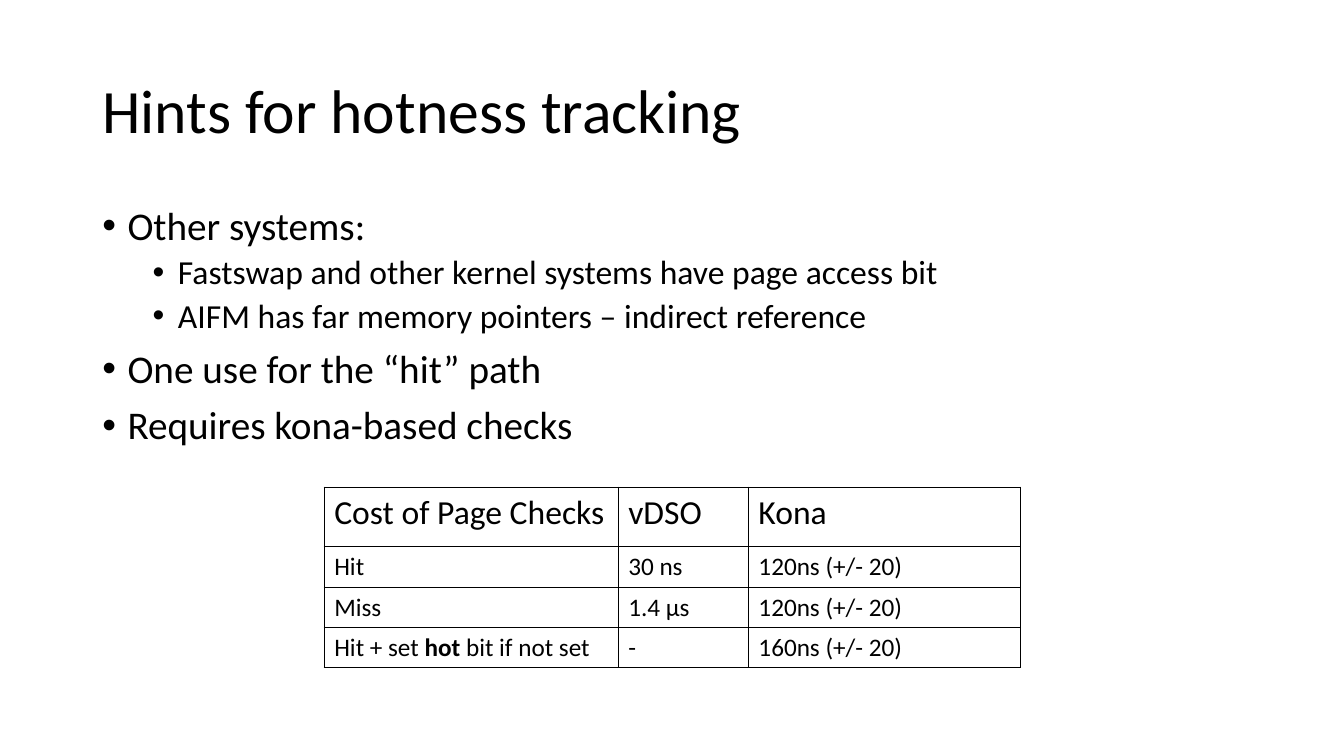
"""Build the slide on hints for hotness tracking, with its table of page check costs."""
from dataclasses import dataclass

from lxml import etree
from pptx import Presentation
from pptx.dml.color import RGBColor
from pptx.enum.text import MSO_ANCHOR
from pptx.oxml.ns import qn
from pptx.slide import Slide
from pptx.table import _Cell
from pptx.text.text import TextFrame, _Paragraph
from pptx.util import Emu, Inches, Pt

TOP, MIDDLE = MSO_ANCHOR.TOP, MSO_ANCHOR.MIDDLE
SLIDE_WIDTH, SLIDE_HEIGHT = Inches(13.33), Inches(7.5)
COLUMNS, ROWS = 160, 90


@dataclass(frozen=True)
class Theme:
    font: str = "Calibri"
    ink: RGBColor = RGBColor(0, 0, 0)
    title: int = 44
    points: tuple[int, ...] = (28, 24)
    table_head: int = 24
    table_body: int = 18
    line_spacing: float = 0.9
    border: float = 1


@dataclass(frozen=True)
class Area:
    column: float
    row: float
    columns: float
    rows: float

    def box(self) -> tuple[Emu, Emu, Emu, Emu]:
        return across(self.column), down(self.row), across(self.columns), down(self.rows)


@dataclass(frozen=True)
class Point:
    text: str
    level: int = 0


THEME = Theme()
TITLE_AREA = Area(11, 4.8, 138, 17.4)
POINTS_AREA = Area(11, 24, 138, 30)
POINTS = (
    Point("Other systems:"),
    Point("Fastswap and other kernel systems have page access bit", 1),
    Point("AIFM has far memory pointers – indirect reference", 1),
    Point("One use for the “hit” path"),
    Point("Requires kona-based checks"),
)
SPACE_BEFORE = (10, 5)
BULLET_HANG = 3
LEVEL_STEP = 6

COST_COLUMNS = (35, 15.5, 32.4)
COST_ROWS = (7.1, 4.8, 4.8, 4.8)
COSTS_AREA = Area(38.6, 58, sum(COST_COLUMNS), sum(COST_ROWS))
STRONG = "hot"
COSTS = (
    (("Cost of Page Checks",), ("vDSO",), ("Kona",)),
    (("Hit",), ("30 ns",), ("120ns (+/- 20)",)),
    (("Miss",), ("1.4 µs",), ("120ns (+/- 20)",)),
    (("Hit + set ", STRONG, " bit if not set"), ("-",), ("160ns (+/- 20)",)),
)


def across(columns: float) -> Emu:
    return Emu(round(SLIDE_WIDTH * columns / COLUMNS))


def down(rows: float) -> Emu:
    return Emu(round(SLIDE_HEIGHT * rows / ROWS))


def set_font(paragraph: _Paragraph, size: int) -> None:
    paragraph.font.name = THEME.font
    paragraph.font.size = Pt(size)
    paragraph.font.color.rgb = THEME.ink


def add_text_area(slide: Slide, area: Area, anchor: MSO_ANCHOR) -> TextFrame:
    frame = slide.shapes.add_textbox(*area.box()).text_frame
    frame.word_wrap = True
    frame.vertical_anchor = anchor
    return frame


def add_title(slide: Slide, text: str) -> None:
    title = add_text_area(slide, TITLE_AREA, MIDDLE).paragraphs[0]
    title.text = text
    title.line_spacing = THEME.line_spacing
    set_font(title, THEME.title)


def set_bullet(paragraph: _Paragraph, level: int) -> None:
    properties = paragraph._p.get_or_add_pPr()
    properties.set("marL", str(across(BULLET_HANG + LEVEL_STEP * level)))
    properties.set("indent", str(-across(BULLET_HANG)))
    etree.SubElement(properties, qn("a:buFont"), typeface="Arial")
    etree.SubElement(properties, qn("a:buChar"), char="•")


def add_points(slide: Slide, points: tuple[Point, ...]) -> None:
    frame = add_text_area(slide, POINTS_AREA, TOP)
    for index, point in enumerate(points):
        paragraph = frame.add_paragraph() if index else frame.paragraphs[0]
        paragraph.text = point.text
        paragraph.level = point.level
        set_bullet(paragraph, point.level)
        paragraph.line_spacing = THEME.line_spacing
        if index:
            paragraph.space_before = Pt(SPACE_BEFORE[point.level])
        set_font(paragraph, THEME.points[point.level])


def set_borders(cell: _Cell) -> None:
    properties = cell._tc.get_or_add_tcPr()
    for side in ("a:lnL", "a:lnR", "a:lnT", "a:lnB"):
        line = etree.SubElement(properties, qn(side), w=str(Pt(THEME.border)))
        fill = etree.SubElement(line, qn("a:solidFill"))
        etree.SubElement(fill, qn("a:srgbClr"), val=str(THEME.ink))


def fill_cell(cell: _Cell, parts: tuple[str, ...], size: int) -> None:
    set_borders(cell)
    cell.fill.background()
    paragraph = cell.text_frame.paragraphs[0]
    for part in parts:
        run = paragraph.add_run()
        run.text = part
        if part == STRONG:
            run.font.bold = True
    set_font(paragraph, size)


def add_costs(slide: Slide) -> None:
    costs = slide.shapes.add_table(len(COST_ROWS), len(COST_COLUMNS), *COSTS_AREA.box()).table
    costs.first_row = costs.horz_banding = False
    for column, width in zip(costs.columns, COST_COLUMNS):
        column.width = across(width)
    for index, (row, height) in enumerate(zip(costs.rows, COST_ROWS)):
        row.height = down(height)
        size = THEME.table_body if index else THEME.table_head
        for cell, parts in zip(row.cells, COSTS[index]):
            fill_cell(cell, parts, size)


def main() -> None:
    deck = Presentation()
    deck.slide_width, deck.slide_height = SLIDE_WIDTH, SLIDE_HEIGHT
    slide = deck.slides.add_slide(deck.slide_layouts[6])
    add_title(slide, "Hints for hotness tracking")
    add_points(slide, POINTS)
    add_costs(slide)
    deck.save("out.pptx")


if __name__ == "__main__":
    main()
